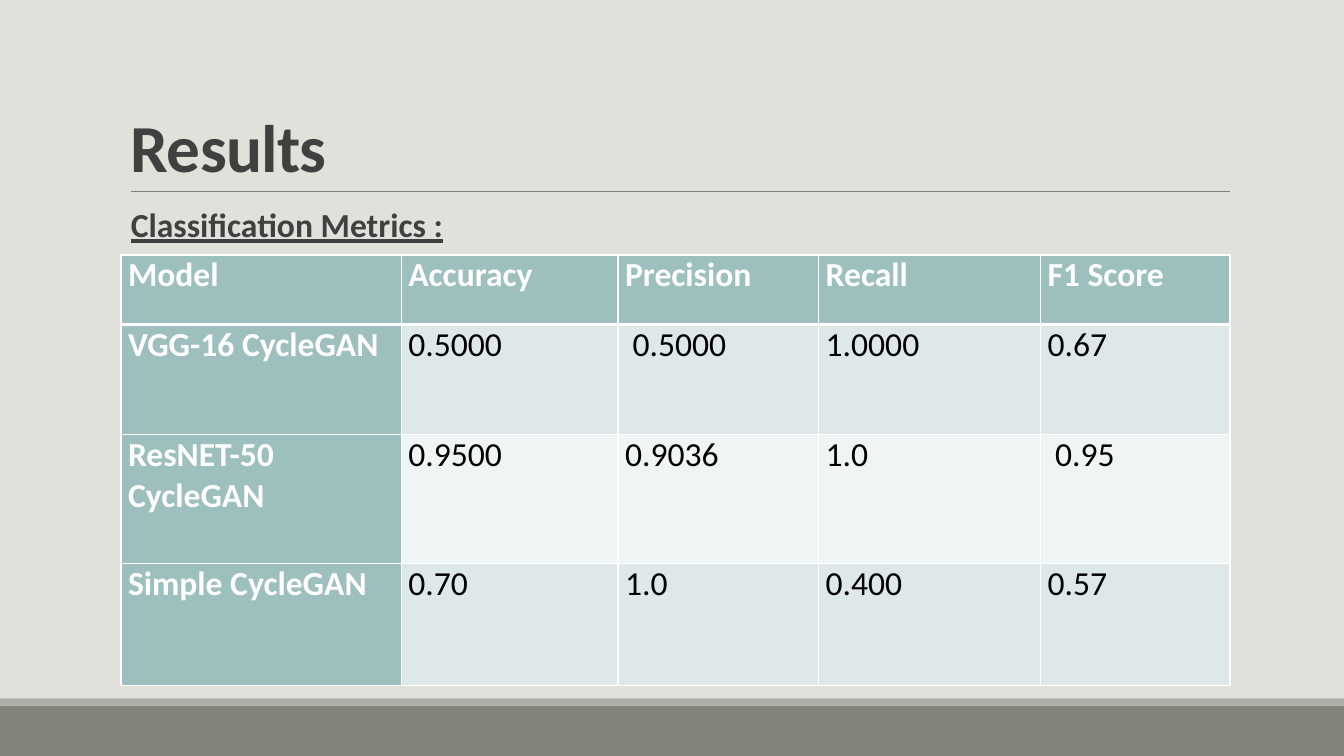
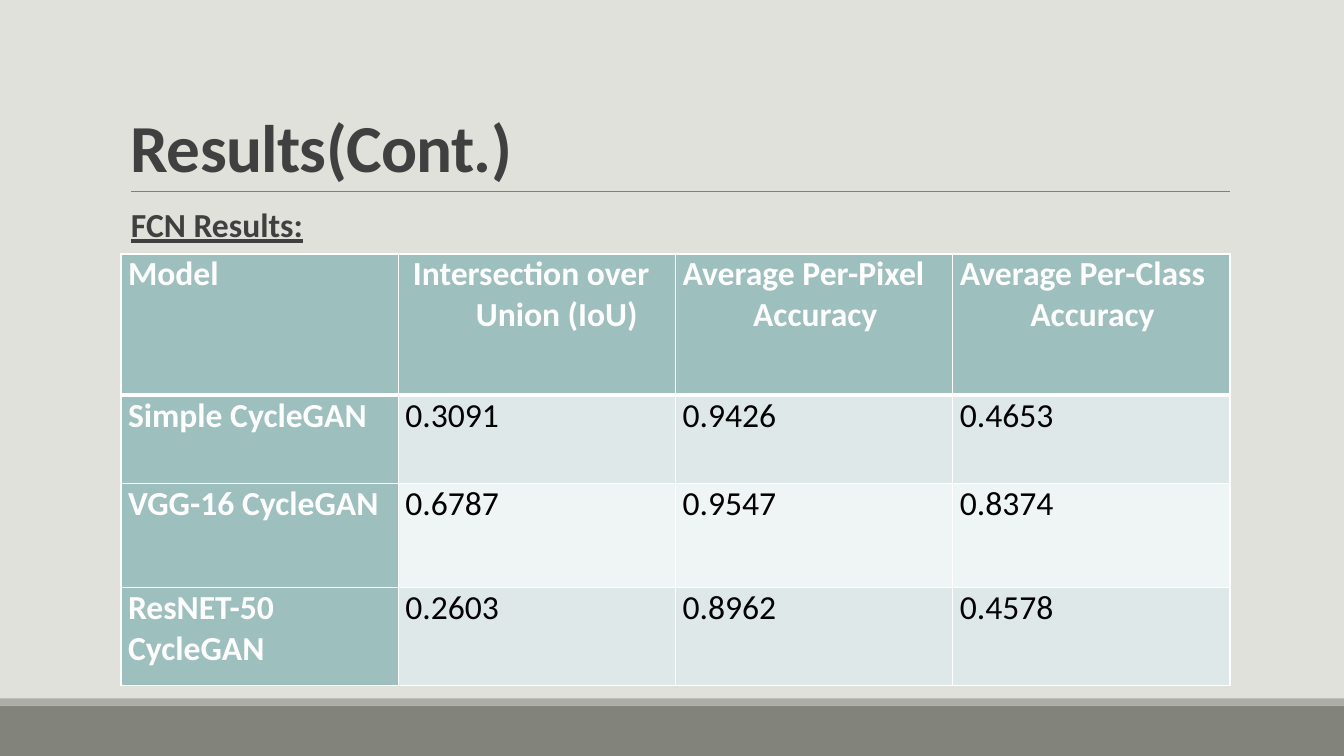
import pptx
import pptx.util
import pptx.dml.color
import pptx.enum.shapes
import pptx.enum.text
import pptx.oxml
import pptx.oxml.ns
from pptx.util import Inches, Pt

# Shared look
COLORS = {
    "background": "E1E1DB", "band": "82847C", "stripe": "ACADA8",
    "rule": "808080", "heading": "404040", "accent": "9DBFBE",
    "row_odd": "DFE8E8", "row_even": "EFF4F4",
    "white": "FFFFFF", "black": "000000",
}
FONT = "Calibri"
WIDTH, HEIGHT = 13.33, 7.5
LEFT, CONTENT_W = 1.2, 11
PAD = 0.1
RULE_Y = 1.9
BAND_H, STRIPE_H = 0.5, 0.07
HANG = 0.7


def rgb(name):
    return pptx.dml.color.RGBColor.from_string(COLORS[name])


def add_run(p, text, size, color, bold=False, underline=False):
    r = p.add_run()
    r.text = text
    r.font.name, r.font.size = FONT, Pt(size)
    r.font.bold, r.font.underline = bold, underline
    r.font.color.rgb = rgb(color)
    return r


def add_band(s, top, height, color):
    sp = s.shapes.add_shape(pptx.enum.shapes.MSO_SHAPE.RECTANGLE,
                            0, Inches(top), Inches(WIDTH), Inches(height))
    sp.shadow.inherit = False
    sp.fill.solid()
    sp.fill.fore_color.rgb = rgb(color)
    sp.line.fill.background()


def add_rule(s):
    line = s.shapes.add_connector(
        pptx.enum.shapes.MSO_CONNECTOR.STRAIGHT,
        Inches(LEFT + PAD), Inches(RULE_Y), Inches(LEFT + CONTENT_W), Inches(RULE_Y))
    line.line.color.rgb = rgb("rule")
    line.line.width = Pt(0.5)
    line._element.spPr.append(pptx.oxml.parse_xml(
        f'<a:effectLst {pptx.oxml.ns.nsdecls("a")}/>'))


def add_text(s, top, height, text, size, spacing, anchor, underline=False):
    sp = s.shapes.add_textbox(Inches(LEFT), Inches(top), Inches(CONTENT_W), Inches(height))
    tf = sp.text_frame
    tf.word_wrap = True
    tf.vertical_anchor = anchor
    tf.margin_left = tf.margin_right = Inches(PAD)
    p = tf.paragraphs[0]
    p.line_spacing = spacing
    return add_run(p, text, size, "heading", True, underline)


def add_base(prs, title, subtitle):
    s = prs.slides.add_slide(prs.slide_layouts[6])
    s.background.fill.solid()
    s.background.fill.fore_color.rgb = rgb("background")
    add_band(s, HEIGHT - BAND_H, BAND_H, "band")
    add_band(s, HEIGHT - BAND_H - STRIPE_H, STRIPE_H, "stripe")
    add_rule(s)
    anchors = pptx.enum.text.MSO_ANCHOR
    r = add_text(s, 0.31, RULE_Y - 0.31, title, 48, 0.85, anchors.BOTTOM)
    r._r.get_or_add_rPr().set("spc", "-50")
    add_text(s, 2.02, 0.5, subtitle, 24, 0.9, anchors.TOP, underline=True)
    return s


def set_borders(cell, row):
    """White grid, with a heavy line between header and body."""
    widths = {"lnL": 1, "lnR": 1,
              "lnT": 3 if row == 1 else 1, "lnB": 3 if row == 0 else 1}
    tcPr = cell._tc.get_or_add_tcPr()
    for i, (tag, width) in enumerate(widths.items()):
        tcPr.insert(i, pptx.oxml.parse_xml(
            f'<a:{tag} {pptx.oxml.ns.nsdecls("a")} w="{Pt(width)}"><a:solidFill>'
            f'<a:srgbClr val="{COLORS["white"]}"/></a:solidFill></a:{tag}>'))


def fill_cell(cell, text, row, col):
    accented = row == 0 or col == 0
    cell.margin_left = cell.margin_right = Inches(0.07)
    cell.margin_top = cell.margin_bottom = 0
    cell.fill.solid()
    body_fill = "row_odd" if row % 2 else "row_even"
    cell.fill.fore_color.rgb = rgb("accent" if accented else body_fill)
    set_borders(cell, row)
    p = cell.text_frame.paragraphs[0]
    if row == 0 and col > 0:
        pPr = p._p.get_or_add_pPr()
        pPr.set("marL", str(Inches(HANG)))
        pPr.set("indent", str(-Inches(HANG)))
    add_run(p, text, 24, "white" if accented else "black", bold=accented)


def add_metrics(s, top, widths, heights, rows):
    table = s.shapes.add_table(len(rows), len(widths), Inches(LEFT), Inches(top),
                               Inches(sum(widths)), Inches(sum(heights))).table
    for column, width in zip(table.columns, widths):
        column.width = Inches(width)
    for row, height in zip(table.rows, heights):
        row.height = Inches(height)
    for i, row in enumerate(rows):
        for j, text in enumerate(row):
            fill_cell(table.cell(i, j), text, i, j)


def main():
    prs = pptx.Presentation()
    prs.slide_width, prs.slide_height = Inches(WIDTH), Inches(HEIGHT)

    # Classification metrics
    s = add_base(prs, "Results", "Classification Metrics :")
    add_metrics(s, 2.53, [2.78, 2.15, 1.99, 2.2, 1.88], [0.69, 1.09, 1.28, 1.21], [
        ["Model", "Accuracy", "Precision", "Recall", "F1 Score"],
        ["VGG-16 CycleGAN", "0.5000", " 0.5000", "1.0000", "0.67"],
        ["ResNET-50 CycleGAN", "0.9500", "0.9036", "1.0", " 0.95"],
        ["Simple CycleGAN", "0.70", "1.0", "0.400", "0.57"],
    ])

    # Segmentation results
    s = add_base(prs, "Results(Cont.)", "FCN Results:")
    add_metrics(s, 2.52, [CONTENT_W / 4] * 4, [1.4, 0.88, 1.03, 0.97], [
        ["Model", " Intersection over Union (IoU)",
         "Average Per-Pixel Accuracy", "Average Per-Class Accuracy"],
        ["Simple CycleGAN", "0.3091", "0.9426", "0.4653"],
        ["VGG-16 CycleGAN", "0.6787", "0.9547", "0.8374"],
        ["ResNET-50 CycleGAN", "0.2603", "0.8962", "0.4578"],
    ])
    prs.save("out.pptx")


if __name__ == "__main__":
    main()
